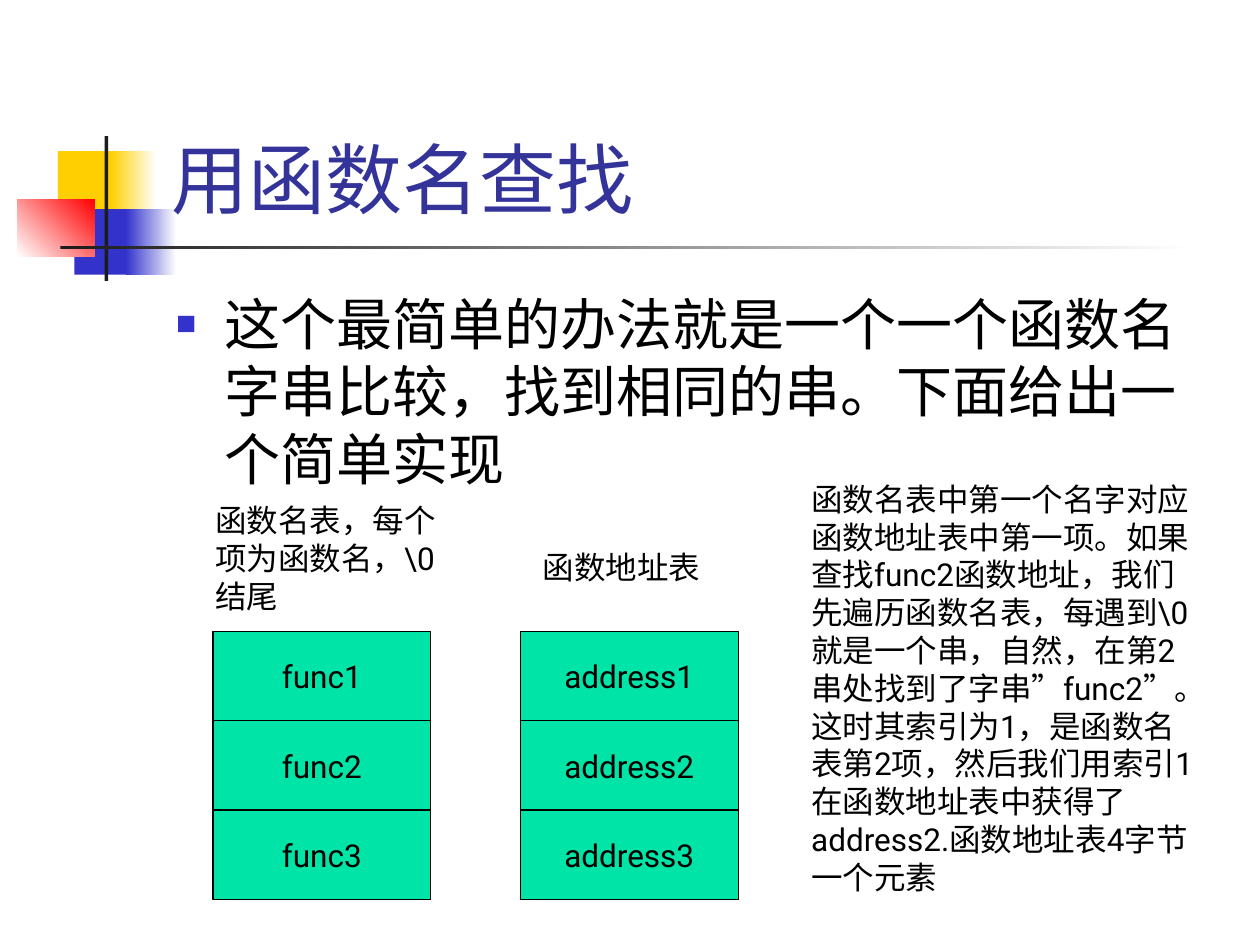
from lxml.etree import SubElement
from pptx import Presentation
from pptx.dml.color import RGBColor
from pptx.enum.shapes import MSO_SHAPE as Shape
from pptx.enum.text import MSO_ANCHOR as Anchor, MSO_AUTO_SIZE as AutoSize, PP_ALIGN as Align
from pptx.oxml.ns import qn
from pptx.util import Inches, Pt

BLACK = "000000"
WHITE = "FFFFFF"
YELLOW = "FFCF01"
BLUE = "3333CC"
RED = "FF0000"
DARK = "1C1C1C"
TITLE_BLUE = "333399"
GREEN = "00E4A8"


def color(value):
    return RGBColor.from_string(value)


class SlideBuilder:
    font = "Roboto"
    quote_font = "Arial"
    size = 18

    def __init__(self, slide):
        self.slide = slide

    def add_runs(self, frame, runs, size=None, text_color=BLACK, align=Align.LEFT):
        paragraph = frame.paragraphs[0]
        paragraph.alignment = align
        for text, font in runs:
            run = paragraph.add_run()
            run.text = text
            run.font.name = font
            run.font.size = Pt(size or self.size)
            run.font.color.rgb = color(text_color)
        return paragraph

    def rectangle(self, left, top, width, height, fill):
        shape = self.slide.shapes.add_shape(
            Shape.RECTANGLE, Inches(left), Inches(top), Inches(width), Inches(height))
        shape.shadow.inherit = False
        shape.line.fill.background()
        shape.fill.solid()
        shape.fill.fore_color.rgb = color(fill)
        return shape

    def gradient(self, left, top, width, height, start, end, angle=0):
        shape = self.rectangle(left, top, width, height, start)
        shape.fill.gradient()
        shape.fill.gradient_angle = angle
        for stop, value, position in zip(shape.fill.gradient_stops, (start, end), (0, 1)):
            stop.color.rgb = color(value)
            stop.position = position

    def title(self, left, top, width, height, text):
        title = self.slide.shapes.title
        title.left, title.top = Inches(left), Inches(top)
        title.width, title.height = Inches(width), Inches(height)
        title.element.getparent().append(title.element)
        frame = title.text_frame
        frame.auto_size = AutoSize.NONE
        frame.vertical_anchor = Anchor.BOTTOM
        self.add_runs(frame, [(text, self.font)], 44, TITLE_BLUE)

    def text(self, left, top, width, height, runs, size=None, wrap=True, auto_size=AutoSize.SHAPE_TO_FIT_TEXT):
        box = self.slide.shapes.add_textbox(
            Inches(left), Inches(top), Inches(width), Inches(height))
        frame = box.text_frame
        frame.word_wrap = wrap
        frame.auto_size = auto_size
        return self.add_runs(frame, runs, size)

    def bullet(self, left, top, width, height, text):
        paragraph = self.text(left, top, width, height, [(text, self.font)], 32, auto_size=AutoSize.NONE)
        paragraph.space_before = Pt(8)
        properties = paragraph._p.get_or_add_pPr()
        properties.set("marL", str(Inches(0.38)))
        properties.set("indent", str(Inches(-0.38)))
        bullet_color = SubElement(properties, qn("a:buClr"))
        SubElement(bullet_color, qn("a:srgbClr"), val=BLUE)
        SubElement(properties, qn("a:buSzPct"), val="60000")
        SubElement(properties, qn("a:buFont"), typeface=self.quote_font)
        SubElement(properties, qn("a:buChar"), char="■")

    def cells(self, left, top, labels):
        width, height = 1.73, 0.71
        for row, label in enumerate(labels):
            cell = self.rectangle(left, top + row * height, width, height, GREEN)
            cell.line.color.rgb = color(BLACK)
            cell.line.width = Pt(0.75)
            frame = cell.text_frame
            frame.word_wrap = False
            frame.vertical_anchor = Anchor.MIDDLE
            self.add_runs(frame, [(label, self.font)], align=Align.CENTER)


def main():
    presentation = Presentation()
    presentation.slide_width = Inches(10)
    presentation.slide_height = Inches(7.5)
    builder = SlideBuilder(presentation.slides.add_slide(presentation.slide_layouts[5]))
    font, quote_font = builder.font, builder.quote_font

    builder.rectangle(0.46, 1.2, 0.48, 0.52, YELLOW)
    builder.gradient(0.88, 1.2, 0.36, 0.52, YELLOW, WHITE)
    builder.rectangle(0.59, 1.66, 0.46, 0.52, BLUE)
    builder.gradient(1, 1.66, 0.4, 0.52, BLUE, WHITE)
    builder.gradient(0.14, 1.58, 0.61, 0.46, WHITE, RED, 45)
    builder.rectangle(0.83, 1.08, 0.03, 1.15, DARK)
    builder.gradient(0.48, 1.95, 9, 0.03, DARK, WHITE)

    builder.title(1.26, 0.23, 8.52, 1.6, "用函数名查找")
    builder.bullet(1.3, 2.25, 8.5, 4.5,
                   "这个最简单的办法就是一个一个函数名字串比较，找到相同的串。下面给出一个简单实现")

    builder.cells(1.69, 5.01, [f"func{number}" for number in range(1, 4)])
    builder.text(1.61, 3.93, 1.97, 1, [("函数名表，每个项为函数名，\\0结尾", font)])
    builder.cells(4.13, 5.01, [f"address{number}" for number in range(1, 4)])
    builder.text(4.21, 4.3, 1.45, 0.4, [("函数地址表", font)], wrap=False)
    builder.text(6.34, 3.76, 3.23, 3.4, [
        ("函数名表中第一个名字对应函数地址表中第一项。如果查找func2函数地址，"
         "我们先遍历函数名表，每遇到\\0就是一个串，自然，在第2串处找到了字串", font),
        ("”", quote_font),
        ("func2", font),
        ("”", quote_font),
        ("。这时其索引为1，是函数名表第2项，然后我们用索引1在函数地址表中获得了"
         "address2.函数地址表4字节一个元素", font),
    ])

    presentation.save("out.pptx")


if __name__ == "__main__":
    main()
